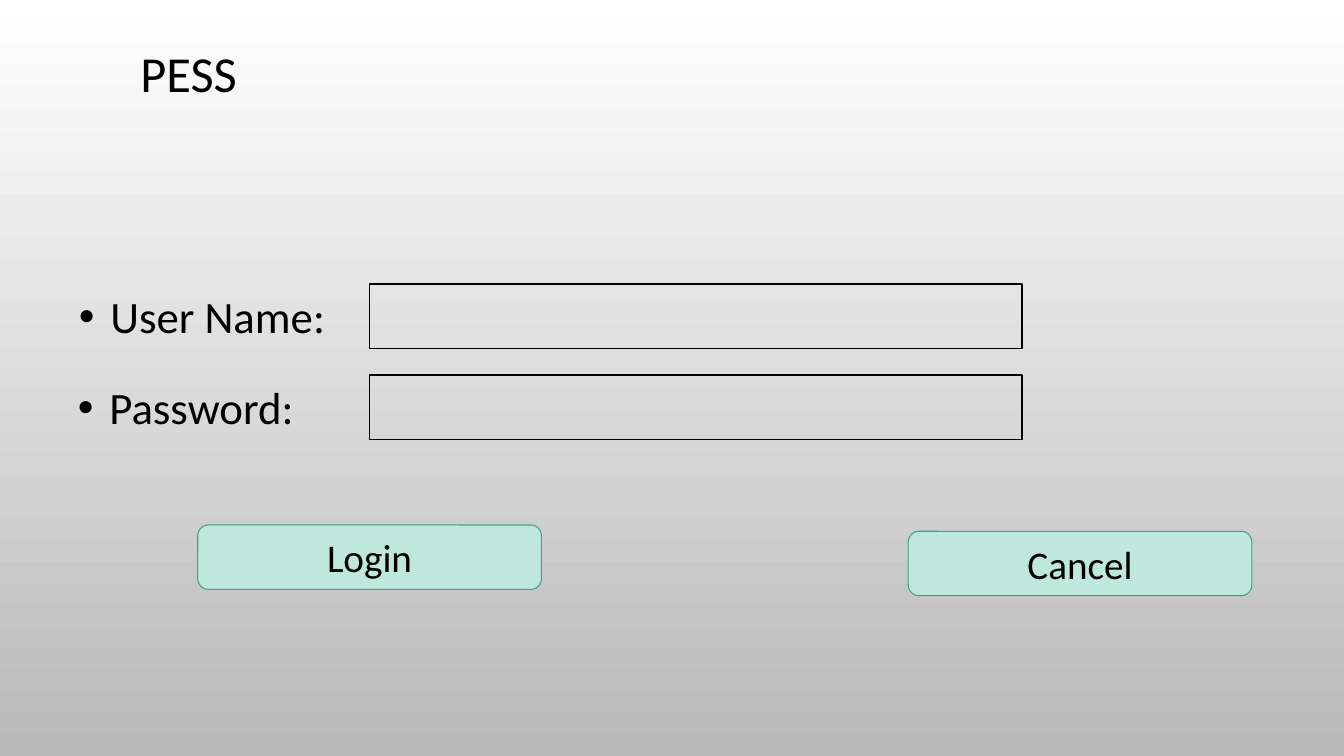
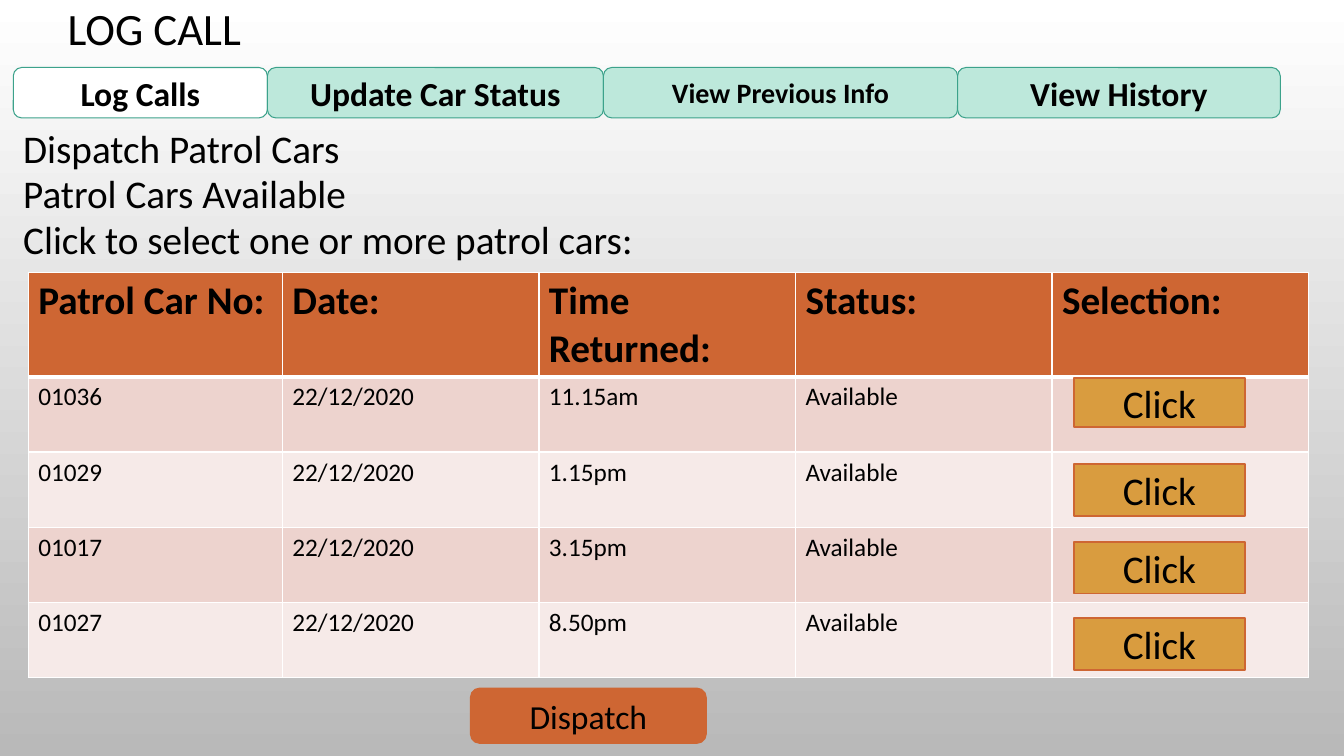
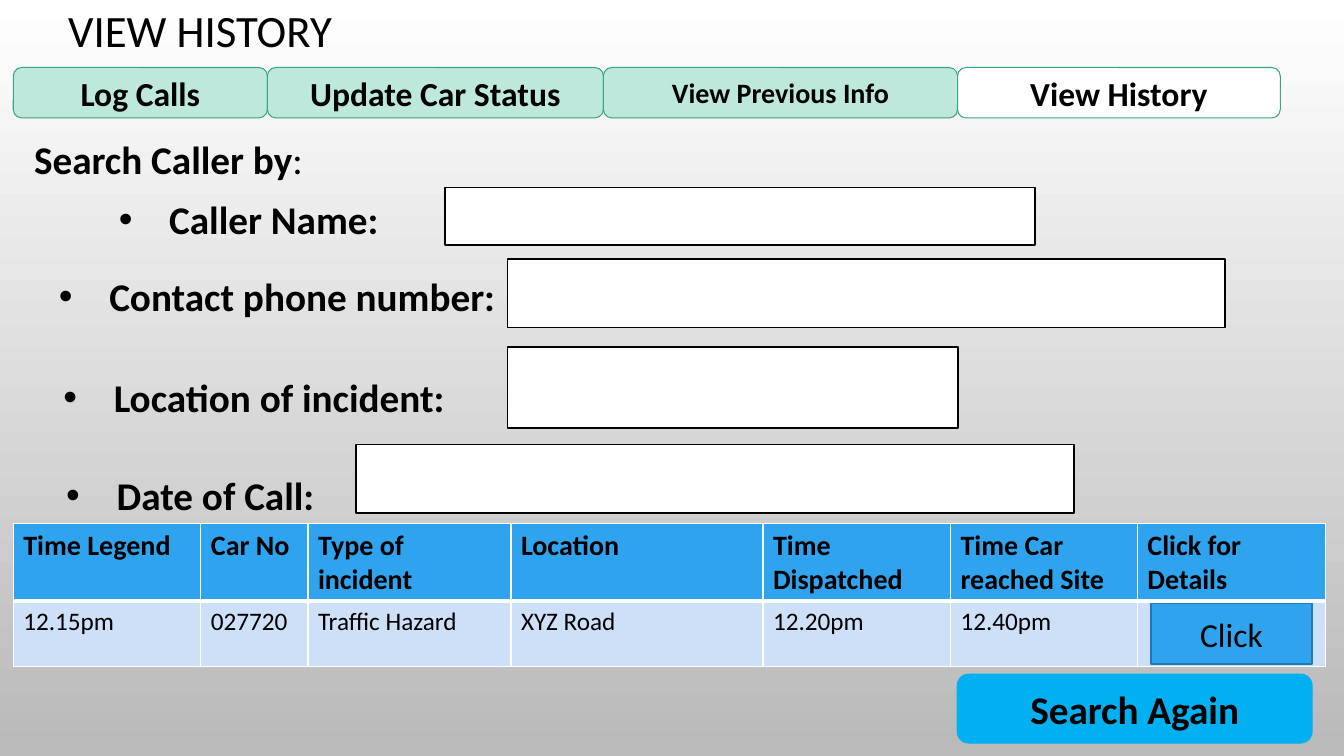
from dataclasses import dataclass

from lxml.etree import SubElement
from pptx import Presentation
from pptx.dml.color import RGBColor
from pptx.enum.shapes import MSO_SHAPE
from pptx.enum.text import MSO_ANCHOR, PP_ALIGN
from pptx.oxml.ns import qn
from pptx.util import Pt


@dataclass(frozen=True)
class Theme:
    font: str = "Calibri"
    black: str = "000000"
    white: str = "FFFFFF"
    gray: str = "B9B9B9"
    mint: str = "BDE8DB"
    green: str = "3CA28B"
    rust: str = "CE6633"
    gold: str = "D99C3F"
    blush: str = "EDD3CE"
    pale_blush: str = "F6EAE8"
    blue: str = "2FA3EE"
    dark_blue: str = "2379B0"
    pale_blue: str = "CDE0F8"
    cyan: str = "00B0F0"
    cover_title: int = 36
    large: int = 32
    heading: int = 28
    label: int = 24
    small: int = 20
    body: int = 18
    thin: float = 0.75
    outline: float = 1.25
    cell_line: int = 1
    header_line: int = 3


THEME = Theme()
TABS = (
    ("Log Calls", 181.5, THEME.label),
    ("Update Car Status", 240, THEME.label),
    ("View Previous Info", 253, THEME.small),
    ("View History", 230.5, THEME.label),
)


class Deck:
    def __init__(self, theme):
        self.theme = theme
        self.presentation = Presentation()
        self.presentation.slide_width = Pt(960)
        self.presentation.slide_height = Pt(540)
        self.slide = None

    def add_slide(self):
        self.slide = self.presentation.slides.add_slide(self.presentation.slide_layouts[6])
        fill = self.slide.background.fill
        fill.gradient()
        fill.gradient_angle = 270
        for stop, color in zip(fill.gradient_stops, (self.theme.white, self.theme.gray)):
            stop.color.rgb = RGBColor.from_string(color)

    def add_run(self, paragraph, text, size, bold=False):
        run = paragraph.add_run()
        run.text = text
        run.font.name = self.theme.font
        run.font.size = Pt(size)
        run.font.bold = bold
        run.font.color.rgb = RGBColor.from_string(self.theme.black)

    def text(self, box, text, size, bold=False):
        frame = self.slide.shapes.add_textbox(*map(Pt, box)).text_frame
        frame.word_wrap = True
        paragraph = frame.paragraphs[0]
        self.add_run(paragraph, text, size, bold)
        return paragraph

    def title(self, box, text, size):
        frame = self.slide.shapes.add_textbox(*map(Pt, box)).text_frame
        frame.word_wrap = True
        frame.vertical_anchor = MSO_ANCHOR.MIDDLE
        paragraph = frame.paragraphs[0]
        paragraph.alignment = PP_ALIGN.CENTER
        paragraph.line_spacing = 0.9
        self.add_run(paragraph, text, size)

    def bullet(self, box, text, size, indent, bold=False):
        paragraph = self.text(box, text, size, bold)
        properties = paragraph._p.get_or_add_pPr()
        properties.set("marL", str(Pt(indent)))
        properties.set("indent", str(-Pt(indent)))
        SubElement(properties, qn("a:buFont"), typeface="Arial")
        SubElement(properties, qn("a:buChar"), char="•")

    def shape(self, kind, box, fill, line, width):
        shape = self.slide.shapes.add_shape(kind, *map(Pt, box))
        shape.shadow.inherit = False
        if fill:
            shape.fill.solid()
            shape.fill.fore_color.rgb = RGBColor.from_string(fill)
        else:
            shape.fill.background()
        shape.line.color.rgb = RGBColor.from_string(line)
        shape.line.width = Pt(width)
        return shape

    def field(self, box, fill=None):
        self.shape(MSO_SHAPE.RECTANGLE, box, fill, self.theme.black, self.theme.outline)

    def button(self, box, text, size, fill, line, bold=False, rounded=True, width=None):
        kind = MSO_SHAPE.ROUNDED_RECTANGLE if rounded else MSO_SHAPE.RECTANGLE
        shape = self.shape(kind, box, fill, line, width or self.theme.thin)
        frame = shape.text_frame
        frame.word_wrap = True
        frame.vertical_anchor = MSO_ANCHOR.MIDDLE
        paragraph = frame.paragraphs[0]
        paragraph.alignment = PP_ALIGN.CENTER
        self.add_run(paragraph, text, size, bold)

    def tabs(self, active):
        left = 9.5
        for text, width, size in TABS:
            fill = self.theme.white if text == active else self.theme.mint
            self.button((left, 48.25, width, 36), text, size, fill, self.theme.green, bold=True)
            left += width

    def cell_borders(self, cell, top, bottom):
        properties = cell._tc.get_or_add_tcPr()
        thin = self.theme.cell_line
        for side, width in (("L", thin), ("R", thin), ("T", top), ("B", bottom)):
            line = SubElement(properties, qn(f"a:ln{side}"), w=str(Pt(width)))
            solid = SubElement(line, qn("a:solidFill"))
            SubElement(solid, qn("a:srgbClr"), val=self.theme.white)

    def table(self, left, top, columns, heights, rows, header_size, header_fill, bands):
        theme = self.theme
        box = (left, top, sum(columns), sum(heights))
        table = self.slide.shapes.add_table(len(rows), len(columns), *map(Pt, box)).table
        for column, width in zip(table.columns, columns):
            column.width = Pt(width)
        for index, (row, height, texts) in enumerate(zip(table.rows, heights, rows)):
            row.height = Pt(height)
            header = index == 0
            above = theme.header_line if index == 1 else theme.cell_line
            below = theme.header_line if header else theme.cell_line
            fill = header_fill if header else bands[(index - 1) % len(bands)]
            for cell, text in zip(row.cells, texts):
                self.cell_borders(cell, above, below)
                cell.fill.solid()
                cell.fill.fore_color.rgb = RGBColor.from_string(fill)
                if text:
                    size = header_size if header else theme.body
                    self.add_run(cell.text_frame.paragraphs[0], text, size, header)


def build_login(deck):
    theme = deck.theme
    deck.add_slide()
    deck.title((19.5, 12, 230.5, 84.5), "PESS", theme.cover_title)
    for text, left, top in (("User Name:", 49.25, 203), ("Password:", 48.5, 268)):
        deck.bullet((left, top, 254, 46), text, theme.large, 22.5)
        deck.field((264, top, 466, 46))
    for text, left, top in (("Login", 141.25, 375), ("Cancel", 648.75, 379.5)):
        deck.button((left, top, 245.5, 46), text, theme.heading, theme.mint, theme.green)


def build_log_call(deck):
    theme = deck.theme
    deck.add_slide()
    deck.title((9.5, 5, 201.5, 34.5), "LOG CALL", theme.large)
    deck.tabs("Log Calls")
    lines = (
        ("Dispatch Patrol Cars", 276.5),
        ("Patrol Cars Available", 276.5),
        ("Click to select one or more patrol cars:", 544),
    )
    for index, (text, width) in enumerate(lines):
        deck.text((9.5, 85 + 32.75 * index, width, 41), text, theme.heading)
    cars = (("01036", "11.15am"), ("01029", "1.15pm"), ("01017", "3.15pm"), ("01027", "8.50pm"))
    rows = [("Patrol Car No:", "Date:", "Time Returned:", "Status:", "Selection:")]
    rows += [(number, "22/12/2020", time, "Available", "") for number, time in cars]
    deck.table(20.25, 194.75, [181.5] + [183.25] * 4, [74.5] + [53.65] * 4, rows,
               theme.heading, theme.rust, (theme.blush, theme.pale_blush))
    for top, height in ((270, 35), (331.5, 37), (387, 37), (441.5, 37)):
        deck.button((767, top, 122.5, height), "Click", theme.heading, theme.gold, theme.rust,
                    rounded=False, width=theme.outline)
    deck.button((336.25, 491.75, 168, 39), "Dispatch", theme.label, theme.rust, theme.rust,
                width=theme.outline)


def build_history(deck):
    theme = deck.theme
    deck.add_slide()
    deck.title((9.5, 5, 267, 37.5), "VIEW HISTORY", theme.large)
    deck.tabs("View History")
    search = deck.text((17.25, 93, 273, 41), "Search Caller by", theme.heading, bold=True)
    deck.add_run(search, ":", theme.heading)
    searches = (
        ("Caller Name:", (77.75, 136.25, 284.5, 41), (318, 134, 421.5, 41)),
        ("Contact phone number:", (35, 191, 407, 41), (362.5, 185, 512.5, 49)),
        ("Location of incident:", (38.25, 263, 340, 41), (362.5, 247.75, 322, 57.75)),
        ("Date of Call:", (40.25, 333, 340, 41), (254.5, 317.5, 512.5, 49)),
    )
    for text, label_box, field_box in searches:
        deck.bullet(label_box, text, theme.heading, 36, bold=True)
        deck.field(field_box, theme.white)
    deck.button((683.75, 481.5, 253.5, 49.25), "Search Again", theme.heading, theme.cyan,
                theme.cyan, bold=True)
    rows = (
        ("Time Legend", "Car No", "Type of incident", "Location", "Time Dispatched",
         "Time Car reached Site", "Click for Details"),
        ("12.15pm", "027720", "Traffic Hazard", "XYZ Road", "12.20pm", "12.40pm", ""),
    )
    deck.table(9.5, 374, (134, 76.5, 145, 180, 134, 133.5, 134.5), (55.5, 46.5), rows,
               theme.small, theme.blue, (theme.pale_blue,))
    deck.button((822, 431, 115.25, 43.5), "Click", theme.label, theme.blue, theme.dark_blue,
                rounded=False, width=theme.outline)


def main():
    deck = Deck(THEME)
    build_login(deck)
    build_log_call(deck)
    build_history(deck)
    deck.presentation.save("out.pptx")


if __name__ == "__main__":
    main()
